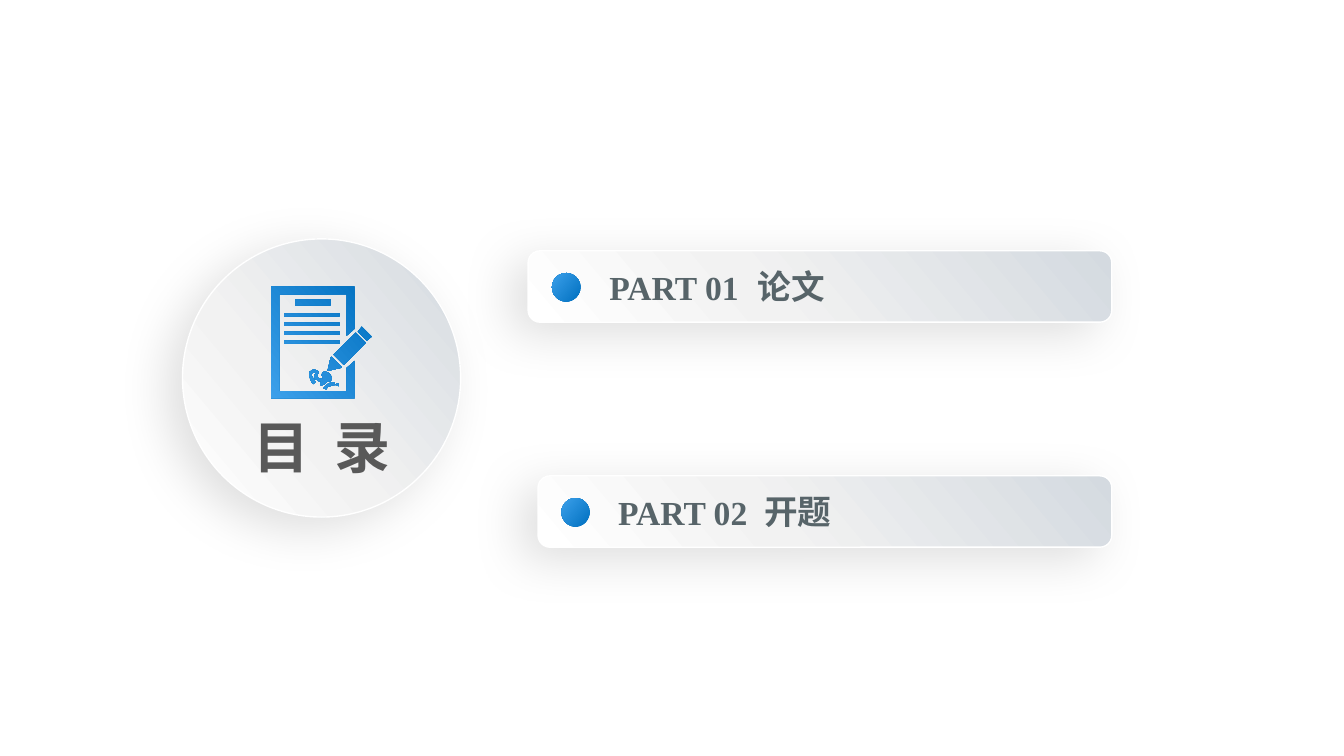
from lxml import etree
from pptx import Presentation
from pptx.dml.color import RGBColor
from pptx.enum.shapes import MSO_SHAPE
from pptx.enum.text import MSO_ANCHOR, MSO_AUTO_SIZE, PP_ALIGN
from pptx.oxml import parse_xml
from pptx.oxml.ns import qn
from pptx.util import Cm, Pt

OVAL, ROUNDED = MSO_SHAPE.OVAL, MSO_SHAPE.ROUNDED_RECTANGLE
TOP, CENTER, LEFT = MSO_ANCHOR.TOP, PP_ALIGN.CENTER, PP_ALIGN.LEFT
NO_FIT = MSO_AUTO_SIZE.NONE

WHITE = RGBColor(0xFF, 0xFF, 0xFF)
BLACK = RGBColor(0, 0, 0)
TITLE_GREY = RGBColor(0x59, 0x59, 0x59)
PART_GREY = RGBColor(0x57, 0x64, 0x69)
SILVER = [(0, RGBColor(0xD4, 0xDA, 0xE0)), (60, RGBColor(0xF2, 0xF2, 0xF2)), (100, WHITE)]
BLUE = [(0, RGBColor(0x00, 0x70, 0xC0)), (100, RGBColor(0x3C, 0xA0, 0xEA))]

TITLE = "目  录"
PARTS = [
    ("PART 01", "论文", "Times New Roman", 13.31, 6.32),
    ("PART 02", "开题", "Roboto", 13.56, 11.99),
]
BAR_RIGHT, BAR_HEIGHT, FULL_BAR = 28.02, 1.8, 14.71
DOT_SIZE = 0.72

ICON_UNIT = Cm(0.0254)
SIGNATURE = [
    (318, 382), (320, 382), (322, 381), (325, 378), (327, 378), (328, 379), (329, 376),
    (328, 376), (329, 375), (329, 374), (328, 372), (326, 370), (324, 369), (321, 369),
    (320, 370), (319, 372), (320, 374), (321, 376), (319, 376), (316, 375), (315, 374),
    (315, 372), (316, 370), (316, 369), (315, 368), (313, 367), (310, 367), (307, 369),
    (307, 374), (308, 376), (309, 379), (311, 381), (313, 379), (312, 377), (310, 374),
    (309, 372), (309, 371), (310, 370), (313, 370), (313, 371), (312, 372), (312, 375),
    (313, 376), (315, 377), (316, 378), (319, 378), (318, 380),
]
STROKE = [
    (332, 382), (332, 379), (329, 379), (327, 380), (325, 381), (321, 385), (323, 386),
    (324, 386), (325, 384), (327, 383), (328, 383), (330, 382),
]
TICK = [(336, 383), (336, 380), (334, 380), (333, 382)]
PAGE = [
    (344, 365), (344, 388), (277, 388), (277, 292), (344, 292), (344, 333), (352, 326),
    (352, 284), (269, 284), (269, 395), (352, 395), (352, 358),
]
PENCIL = [
    [(359, 324), (355, 329), (364, 338), (369, 334)],
    [(331, 352), (341, 362), (363, 340), (353, 330)],
    [(339, 364), (329, 354), (328, 355), (325, 368), (338, 365)],
]
PAGE_LINES = [(293, 297, 328, 303)] + [(282, y, 337, y + 3) for y in range(311, 339, 9)]


def paint(sp, stops, angle, raised=False):
    sp.shadow.inherit = False
    sp.fill.gradient()
    spPr = sp._element.spPr
    marks = "".join(
        f'<a:gs pos="{pos * 1000}"><a:srgbClr val="{color}"/></a:gs>' for pos, color in stops)
    grad = parse_xml(
        '<a:gradFill xmlns:a="http://schemas.openxmlformats.org/drawingml/2006/main" '
        f'rotWithShape="1"><a:gsLst>{marks}</a:gsLst>'
        f'<a:lin ang="{angle * 60000}" scaled="0"/></a:gradFill>')
    spPr.replace(spPr.find(qn("a:gradFill")), grad)
    if not raised:
        sp.line.fill.background()
        return
    sp.line.color.rgb = WHITE
    sp.line.width = Pt(1)
    shadow = etree.SubElement(
        spPr.find(qn("a:effectLst")), qn("a:outerShdw"), blurRad=str(Pt(36)),
        dist=str(Pt(14)), dir=str(146 * 60000), algn="ctr", rotWithShape="0")
    color = etree.SubElement(shadow, qn("a:srgbClr"), val=str(BLACK))
    etree.SubElement(color, qn("a:alpha"), val="12000")


def write(sp, text, size, font, color, align):
    tf = sp.text_frame
    tf.text = text
    tf.word_wrap = True
    tf.auto_size = NO_FIT
    tf.vertical_anchor = TOP
    p = tf.paragraphs[0]
    p.alignment = align
    r = p.runs[0]
    r.font.size = Pt(size)
    r.font.name = font
    r.font.bold = True
    r.font.color.rgb = color


def add_icon(shapes):
    bars = [[(l, t), (l, b), (r, b), (r, t)] for l, t, r, b in PAGE_LINES]
    outlines = [SIGNATURE, STROKE, TICK, PAGE] + bars + PENCIL
    builder = shapes.build_freeform(*SIGNATURE[0], scale=ICON_UNIT)
    for outline in outlines:
        builder.move_to(*outline[0])
        builder.add_line_segments(outline[1:], close=True)
    paint(builder.convert_to_shape(), BLUE, 140)


def add_part(slide, number, name, font, left, top):
    shapes = slide.shapes.add_group_shape().shapes
    width = BAR_RIGHT - left
    scale = width / FULL_BAR
    bar = shapes.add_shape(ROUNDED, Cm(left), Cm(top), Cm(width), Cm(BAR_HEIGHT))
    paint(bar, SILVER, 140, raised=True)
    dot = shapes.add_shape(
        OVAL, Cm(left + 0.6 * scale), Cm(top + 0.56), Cm(DOT_SIZE * scale), Cm(DOT_SIZE))
    paint(dot, BLUE, 220)
    labels = [(number, "Times New Roman", 1.8, 0.28, 4.19), (name, font, 5.54, 0.25, 8.53)]
    for text, face, dx, dy, w in labels:
        box = shapes.add_textbox(
            Cm(left + dx * scale), Cm(top + dy), Cm(w * scale), Cm(1.27))
        write(box, text, 24, face, PART_GREY, LEFT)


def main():
    prs = Presentation()
    prs.slide_width, prs.slide_height = Cm(33.87), Cm(19.05)
    slide = prs.slides.add_slide(prs.slide_layouts[5])
    shapes = slide.shapes

    disc = shapes.add_shape(OVAL, Cm(4.6), Cm(6.02), Cm(7.01), Cm(7.01))
    paint(disc, SILVER, 140, raised=True)

    title = shapes.title
    title.left, title.top, title.width, title.height = Cm(5.66), Cm(10.39), Cm(4.9), Cm(1.7)
    write(title, TITLE, 40, "Roboto", TITLE_GREY, CENTER)
    tf = title.text_frame
    tf.margin_left = tf.margin_right = tf.margin_top = tf.margin_bottom = 0
    disc._element.addnext(title._element)

    add_icon(shapes)
    for part in PARTS:
        add_part(slide, *part)
    prs.save("out.pptx")


if __name__ == "__main__":
    main()
